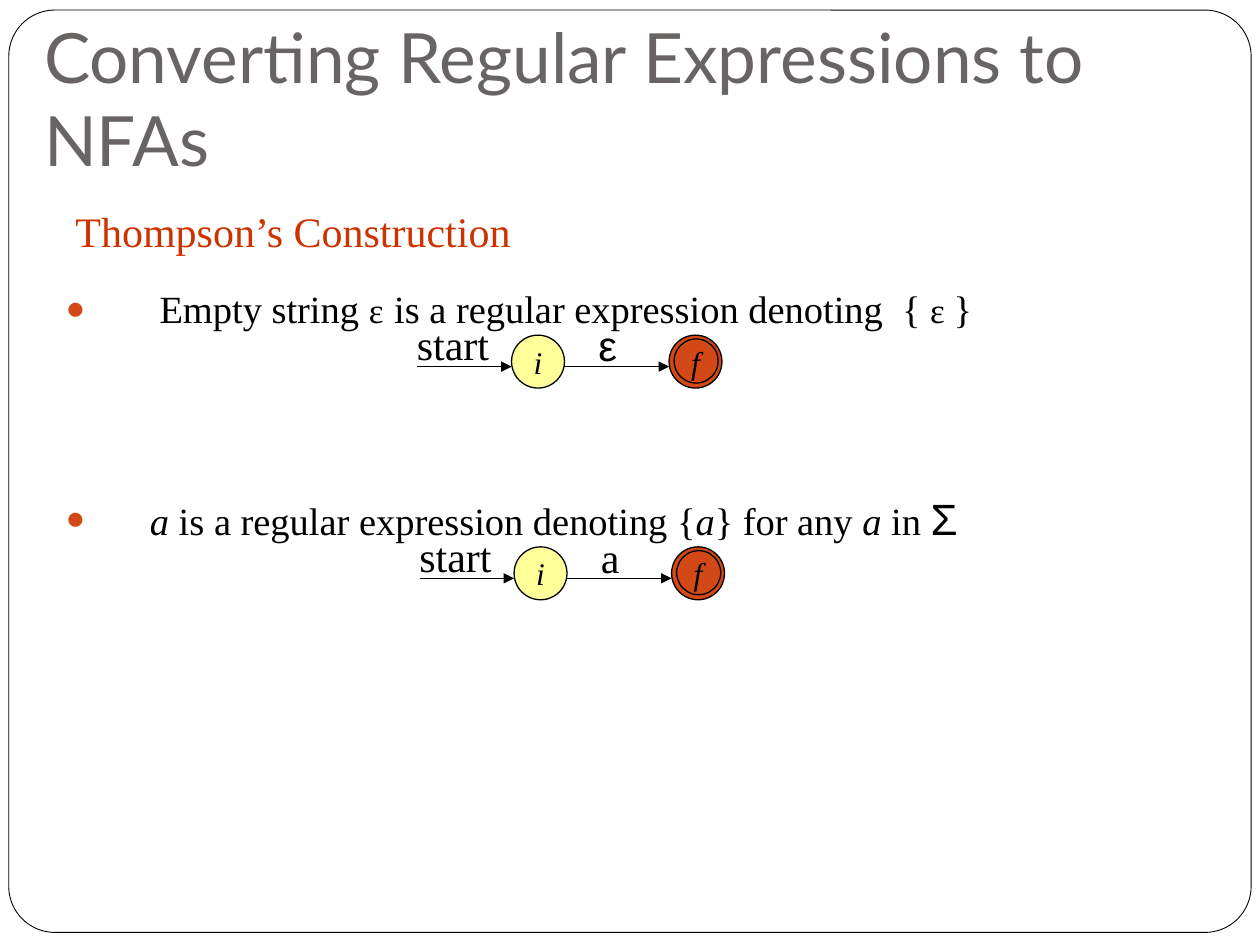
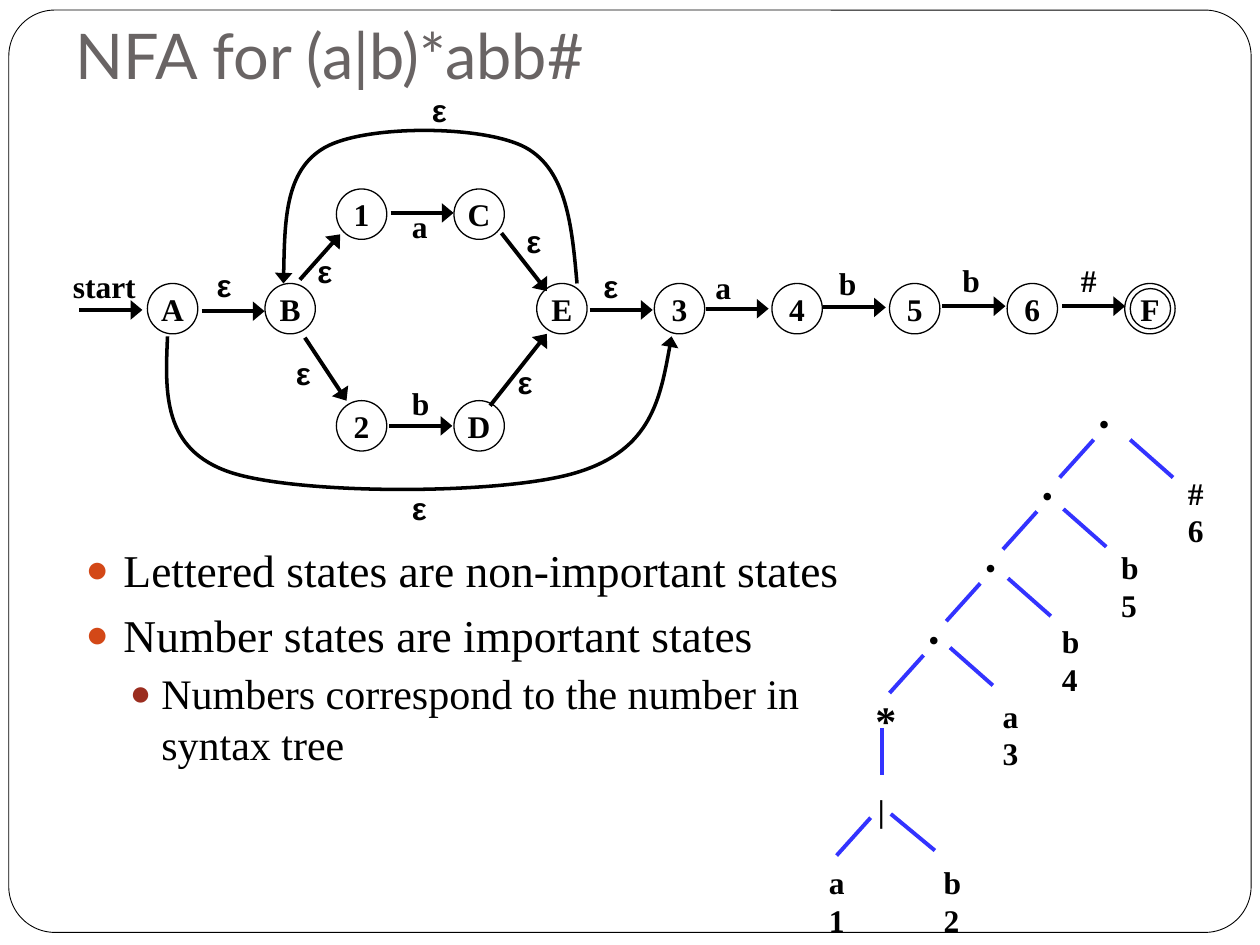
from dataclasses import dataclass

from lxml.etree import SubElement
from pptx import Presentation
from pptx.dml.color import RGBColor as Color
from pptx.enum.shapes import MSO_CONNECTOR as Connector, MSO_SHAPE as Preset
from pptx.enum.text import MSO_ANCHOR as Anchor, MSO_AUTO_SIZE as AutoSize, PP_ALIGN as Align
from pptx.oxml.ns import qn
from pptx.util import Inches, Pt


@dataclass(frozen=True)
class Theme:
    serif: str = "Times New Roman"
    sans: str = "Arial"
    heading: str = "Lato"
    black: Color = Color.from_string("000000")
    white: Color = Color.from_string("FFFFFF")
    title: Color = Color.from_string("696464")
    accent: Color = Color.from_string("D34817")
    sub_accent: Color = Color.from_string("9B2D1F")
    subtitle: Color = Color.from_string("CC3300")
    start_state: Color = Color.from_string("FFFF99")
    branch: Color = Color.from_string("3333FF")
    label_size: float = 18
    large_size: float = 24
    thin: float = 0.75
    curve: float = 2
    thick: float = 2.25


THEME = Theme()
# Bullet colour, left margin and hanging indent per list level
LEVELS = [(THEME.accent, 0.3, 0.3), (THEME.sub_accent, 0.6, 0.25)]
LABEL_WIDTHS = {"start": 0.76, "ε": 0.31, "b": 0.35}


# Shared helpers
def apply_format(target, **values):
    for name, value in values.items():
        setattr(target, name, value)


def add_run(paragraph, text, size, font=THEME.serif, color=THEME.black, **style):
    run = paragraph.add_run()
    run.text = text
    apply_format(run.font, size=Pt(size), name=font, **style)
    run.font.color.rgb = color


def set_line(shape, width, color=THEME.black, arrow=False):
    shape.line.color.rgb = color
    shape.line.width = Pt(width)
    if arrow:
        line = shape._element.spPr.find(qn("a:ln"))
        head_width = "lg" if width > THEME.thin else "med"
        SubElement(line, qn("a:tailEnd"), type="triangle", w=head_width)


def add_line(shapes, origin, start, end, width=THEME.thin, color=THEME.black, arrow=False):
    left, top = origin
    points = [Inches(value) for x, y in (start, end) for value in (left + x, top + y)]
    connector = shapes.add_connector(Connector.STRAIGHT, *points)
    set_line(connector, width, color, arrow)
    SubElement(connector._element.spPr, qn("a:effectLst"))


def add_label(shapes, origin, at, width, lines, size=THEME.label_size, **style):
    height = 0.1 + len(lines) * size / 60
    box = shapes.add_textbox(Inches(origin[0] + at[0]), Inches(origin[1] + at[1]),
                             Inches(width), Inches(height))
    frame = box.text_frame
    apply_format(frame, word_wrap=False, auto_size=AutoSize.SHAPE_TO_FIT_TEXT)
    for index, text in enumerate(lines):
        paragraph = frame.add_paragraph() if index else frame.paragraphs[0]
        add_run(paragraph, text, size, **style)


def add_circle(shapes, origin, at, diameter, text="", fill=None, **style):
    circle = shapes.add_shape(Preset.OVAL, Inches(origin[0] + at[0]), Inches(origin[1] + at[1]),
                              Inches(diameter), Inches(diameter))
    circle.shadow.inherit = False
    if fill is None:
        circle.fill.background()
    else:
        circle.fill.solid()
        circle.fill.fore_color.rgb = fill
    set_line(circle, THEME.thin)
    if text:
        frame = circle.text_frame
        apply_format(frame, word_wrap=False, vertical_anchor=Anchor.MIDDLE)
        frame.paragraphs[0].alignment = Align.CENTER
        add_run(frame.paragraphs[0], text, THEME.label_size, **style)


def add_curve(shapes, origin, points):
    """Draw a start point followed by cubic triples, ending in an arrowhead."""
    placed = [(Inches(origin[0] + x), Inches(origin[1] + y)) for x, y in points]
    builder = shapes.build_freeform(*placed[0])
    builder.add_line_segments(placed[1:], close=False)
    curve = builder.convert_to_shape()
    outline = next(curve._element.iter(qn("a:path")))
    segments = outline.findall(qn("a:lnTo"))
    for first in range(0, len(segments), 3):
        cubic = SubElement(outline, qn("a:cubicBezTo"))
        for segment in segments[first:first + 3]:
            cubic.append(segment[0])
            outline.remove(segment)
    curve.shadow.inherit = False
    curve.fill.background()
    set_line(curve, THEME.curve, arrow=True)


def place(shape, box):
    apply_format(shape, **dict(zip(("left", "top", "width", "height"), map(Inches, box))))


def set_title(slide, box, text, size):
    title = slide.shapes.title
    place(title, box)
    frame = title.text_frame
    apply_format(frame, vertical_anchor=Anchor.BOTTOM, word_wrap=True, auto_size=AutoSize.NONE,
                 margin_bottom=Inches(0.1))
    frame.paragraphs[0].alignment = Align.LEFT
    add_run(frame.paragraphs[0], text, size, THEME.heading, THEME.title)


def set_bullet(paragraph, color, margin, hanging):
    properties = paragraph._p.get_or_add_pPr()
    properties.set("marL", str(Inches(margin)))
    properties.set("indent", str(-Inches(hanging)))
    SubElement(SubElement(properties, qn("a:buClr")), qn("a:srgbClr"), val=str(color))
    SubElement(properties, qn("a:buSzPct"), val="85000")
    SubElement(properties, qn("a:buFont"), typeface=THEME.sans)
    SubElement(properties, qn("a:buChar"), char="●")


def set_list(slide, box, items, spacing=1.0):
    """Fill the body from items of (level, bullet, space before, runs)."""
    body = slide.placeholders[1]
    place(body, box)
    frame = body.text_frame
    apply_format(frame, word_wrap=True, auto_size=AutoSize.NONE)
    for index, (level, bullet, space, runs) in enumerate(items):
        paragraph = frame.add_paragraph() if index else frame.paragraphs[0]
        set_bullet(paragraph, *bullet)
        apply_format(paragraph, level=level, alignment=Align.LEFT,
                     line_spacing=spacing, space_before=Pt(space))
        for text, size, style in runs:
            add_run(paragraph, text, size, **style)


def add_master_frame(presentation, slide):
    """Rounded page border, moved to the master so every slide shows it."""
    frame = slide.shapes.add_shape(Preset.ROUNDED_RECTANGLE, 0, 0, 0, 0)
    place(frame, (0.07, 0.08, 9.86, 7.32))
    frame.adjustments[0] = 0.05
    frame.shadow.inherit = False
    frame.fill.solid()
    frame.fill.fore_color.rgb = THEME.white
    set_line(frame, 0.5)
    presentation.slide_master.shapes._spTree.insert(2, frame._element)


# Slide 1: basic machines
def add_basic_machine(slide, origin, symbol, font):
    shapes = slide.shapes.add_group_shape().shapes
    state = 0.42
    add_circle(shapes, origin, (0.85, 0.18), state, "i", THEME.start_state, italic=True)
    add_circle(shapes, origin, (2.1, 0.18), state, "f", THEME.accent, italic=True)
    add_circle(shapes, origin, (2.14, 0.21), 0.35)
    for start, end in ((0.1, 0.85), (0.85 + state, 2.1)):
        add_line(shapes, origin, (start, 0.43), (end, 0.43), arrow=True)
    add_label(shapes, origin, (0, 0), 0.85, ["start"], THEME.large_size)
    add_label(shapes, origin, (1.44, 0.01), 0.35, [symbol], THEME.large_size, font=font)


def build_conversion_slide(slide):
    set_title(slide, (0.25, 0.92, 9.08, 0.61), "Converting Regular Expressions to NFAs", 39.6)
    bullet = (THEME.accent, 0.67, 0.67)
    italic = {"italic": True}
    set_list(slide, (0.42, 2.25, 8.5, 5.08), [
        (0, bullet, 0, [(" Empty string ", 22, {}), ("ε", 20, {}),
                        (" ", 22, {"font": THEME.sans}),
                        ("is a regular expression denoting  { ", 22, {}),
                        ("ε ", 20, {}), ("}", 22, {})]),
        (0, bullet, 95, [("a", 22, italic), (" is a regular expression denoting {", 22, {}),
                         ("a", 22, italic), ("} for any ", 22, {}), ("a", 22, italic),
                         (" in ", 22, {}), ("Σ", 25, {"font": THEME.sans})]),
    ], spacing=0.9)
    add_basic_machine(slide, (3.21, 2.48), "ε", THEME.sans)
    add_basic_machine(slide, (3.23, 4.16), "a", THEME.serif)
    add_label(slide.shapes, (0.5, 1.58), (0, 0), 3.98, ["Thompson’s Construction"],
              THEME.large_size, color=THEME.subtitle)


# Slide 2: automaton and syntax tree
def add_automaton(slide, origin):
    """Place the automaton relative to the corner of state A."""
    shapes = slide.shapes.add_group_shape().shapes
    step = 2.8 / 3
    rows = [(0, 0, "AB"), (3.09, 0, "E3456F"), (1.5, -0.75, "1C"), (1.5, 0.93, "2D")]
    for left, top, names in rows:
        for column, name in enumerate(names):
            add_circle(shapes, origin, (left + column * step, top), 0.4, name, bold=True)
    add_circle(shapes, origin, (7.8, 0.04), 0.32)

    # Straight moves: start, horizontal and vertical run, label, label corner
    moves = [
        ((-0.54, 0.21), (0.5, 0), "start", (-0.69, -0.18)),
        ((0.43, 0.22), (0.5, 0), "ε", (0.45, -0.19)),
        ((3.51, 0.21), (0.5, 0), "ε", (3.52, -0.18)),
        ((4.43, 0.2), (0.5, 0), "a", (4.41, -0.17)),
        ((5.36, 0.19), (0.5, 0), "b", (5.39, -0.2)),
        ((6.31, 0.18), (0.5, 0), "b", (6.37, -0.23)),
        ((7.26, 0.18), (0.5, 0), "#", (7.31, -0.23)),
        ((1.93, -0.56), (0.5, 0), "a", (2, -0.66)),
        ((1.92, 1.13), (0.5, 0), "b", (2, 0.75)),
        ((1.25, 0.43), (0.33, 0.5), "ε", (1.08, 0.51)),
        ((2.81, -0.4), (0.36, 0.46), "ε", (2.91, -0.54)),
        ((1.21, -0.03), (0.32, -0.36), "ε", (1.25, -0.3)),
        ((2.72, 0.97), (0.45, -0.57), "ε", (2.84, 0.58)),
    ]
    labels = [(name, at) for _, _, name, at in moves]
    for (x, y), (run, rise), _, _ in moves:
        add_line(shapes, origin, (x, y), (x + run, y + rise), THEME.thick, arrow=True)

    # Skip and repeat moves
    add_curve(shapes, origin, [(0.16, 0.42), (0.14, 0.87), (0.12, 1.32), (0.66, 1.5),
                               (1.21, 1.68), (2.83, 1.68), (3.41, 1.5),
                               (4, 1.32), (4.08, 0.87), (4.16, 0.42)])
    add_curve(shapes, origin, [(3.41, 0), (3.37, -0.45), (3.33, -0.9), (3, -1.08),
                               (2.66, -1.26), (1.73, -1.26), (1.41, -1.08),
                               (1.09, -0.9), (1.09, -0.45), (1.08, 0)])
    for name, at in labels + [("ε", (2, 1.58)), ("ε", (2.16, -1.58))]:
        font = THEME.sans if name == "ε" else THEME.serif
        add_label(shapes, origin, at, LABEL_WIDTHS.get(name, 0.34), [name], font=font, bold=True)


def add_syntax_tree(slide, origin):
    shapes = slide.shapes.add_group_shape().shapes

    def add_branch(x, y, run, rise):
        add_line(shapes, origin, (x, y), (x + run, y + rise), THEME.thick, THEME.branch)

    def add_leaf(x, y, symbol, number):
        add_label(shapes, origin, (x, y), LABEL_WIDTHS.get(symbol, 0.34), [symbol, number],
                  bold=True)

    # Concatenation chain: symbol, number, leaf left, branch left
    leaves = [("#", "6", 2.85, 2.49), ("b", "5", 2.32, 1.96),
              ("b", "4", 1.85, 1.52), ("a", "3", 1.38, 1.06)]
    for depth, (symbol, number, leaf_left, branch_left) in enumerate(leaves):
        shift, drop = 0.45 * depth, 0.57 * depth
        add_label(shapes, origin, (2.14 - shift, drop), 0.32, ["•"])
        add_branch(2.2 - shift, 0.33 + drop, -0.27, 0.3)
        add_branch(branch_left, 0.33 + 0.55 * depth, 0.34, 0.3)
        add_leaf(leaf_left, 0.55 + 0.59 * depth, symbol, number)

    # Repeated alternative
    add_label(shapes, origin, (0.37, 2.3), 0.33, ["*"], THEME.large_size, bold=True)
    add_branch(0.52, 2.62, 0, 0.37)
    add_label(shapes, origin, (0.39, 3.07), 0.27, ["|"], bold=True)
    add_branch(0.43, 3.33, -0.27, 0.3)
    add_branch(0.59, 3.3, 0.35, 0.29)
    add_leaf(0, 3.64, "a", "1")
    add_leaf(0.91, 3.64, "b", "2")


def build_automaton_slide(slide):
    set_title(slide, (0.5, 0.08, 8.17, 0.75), "NFA for (a|b)*abb#", 36)
    lines = [(0, 0, 26, "Lettered states are non-important states"),
             (0, 5.8, 26, "Number states are important states"),
             (1, 3.7, 24, "Numbers correspond to the number in syntax tree")]
    set_list(slide, (0.58, 4.25, 6.25, 3.09),
             [(level, LEVELS[level], space, [(text, size, {})])
              for level, space, size, text in lines])
    add_automaton(slide, (1.17, 2.25))
    add_syntax_tree(slide, (6.48, 3.16))


def main():
    presentation = Presentation()
    apply_format(presentation, slide_width=Inches(10), slide_height=Inches(7.5))
    layout = presentation.slide_layouts[1]
    for number, build in enumerate((build_conversion_slide, build_automaton_slide)):
        slide = presentation.slides.add_slide(layout)
        if number == 0:
            add_master_frame(presentation, slide)
        build(slide)
    presentation.save("out.pptx")


if __name__ == "__main__":
    main()
